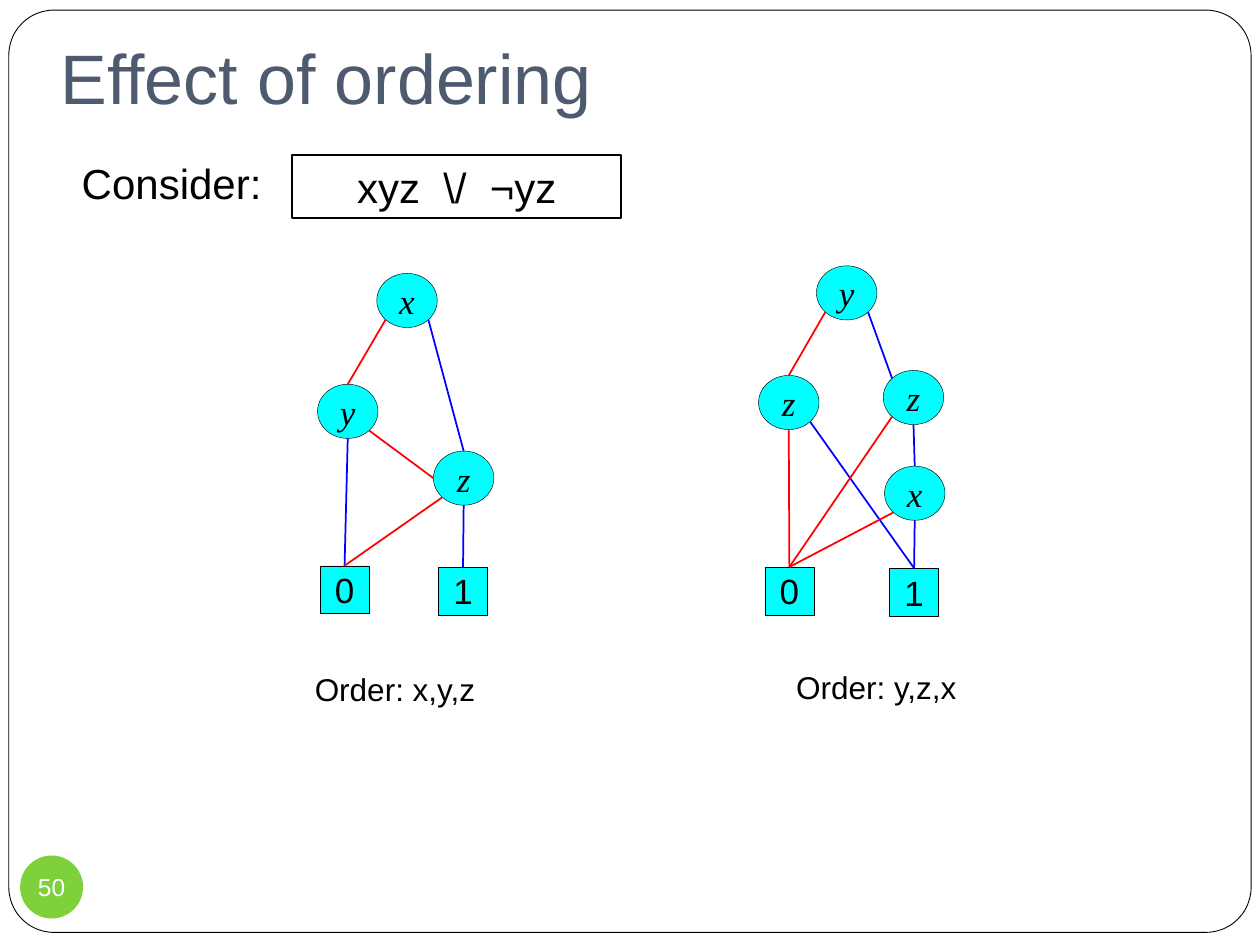
from dataclasses import dataclass
from math import sqrt
from typing import Any

from lxml import etree
from pptx import Presentation
from pptx.dml.color import RGBColor
from pptx.enum.shapes import MSO_CONNECTOR, MSO_SHAPE
from pptx.enum.text import MSO_ANCHOR, MSO_AUTO_SIZE, PP_ALIGN
from pptx.oxml.ns import qn
from pptx.util import Emu, Pt

PX = 9144

BLACK = RGBColor(0, 0, 0)
WHITE = RGBColor(255, 255, 255)
SLATE = RGBColor(0x4E, 0x5B, 0x6F)
CYAN = RGBColor(0, 255, 255)
GREEN = RGBColor(0x7F, 0xD1, 0x3B)
RED = RGBColor(255, 0, 0)
BLUE = RGBColor(0, 0, 255)

ELLIPSE, RECT, ROUNDED = MSO_SHAPE.OVAL, MSO_SHAPE.RECTANGLE, MSO_SHAPE.ROUNDED_RECTANGLE
STRAIGHT = MSO_CONNECTOR.STRAIGHT
LEFT, CENTER = PP_ALIGN.LEFT, PP_ALIGN.CENTER
TOP, MIDDLE, BOTTOM = MSO_ANCHOR.TOP, MSO_ANCHOR.MIDDLE, MSO_ANCHOR.BOTTOM
NO_FIT = MSO_AUTO_SIZE.NONE

NODE_SIZE = (48, 43)
LEAF_SIZE = (39, 38)
DIAGONAL = sqrt(2) / 4
SITES = {
    "top": (0.5, 0),
    "bottom": (0.5, 1),
    "left": (0, 0.5),
    "top left": (0.5 - DIAGONAL, 0.5 - DIAGONAL),
    "bottom left": (0.5 - DIAGONAL, 0.5 + DIAGONAL),
    "bottom right": (0.5 + DIAGONAL, 0.5 + DIAGONAL),
}

XYZ_NODES = {"x": ("x", 299, 217), "z": ("z", 344, 358), "y": ("y", 252, 305)}
XYZ_LEAVES = {"0": (254, 449), "1": (348, 450)}
XYZ_EDGES = [
    ("x", "bottom right", "z", "top", BLUE),
    ("z", "bottom", "1", "top", BLUE),
    ("y", "bottom", "0", "top", BLUE),
    ("x", "bottom left", "y", "top", RED),
    ("z", "bottom left", "0", "top", RED),
    ("y", "bottom right", "z", "left", RED),
]

YZX_NODES = {
    "y": ("y", 648, 211),
    "low z": ("z", 602, 298),
    "high z": ("z", 701, 294),
    "x": ("x", 702, 370),
}
YZX_LEAVES = {"0": (607, 450), "1": (706, 451)}
YZX_EDGES = [
    ("y", "bottom right", "high z", "top left", BLUE),
    ("high z", "bottom", "x", "top", BLUE),
    ("x", "bottom", "1", "top", BLUE),
    ("low z", "bottom right", "1", "top", BLUE),
    ("y", "bottom left", "low z", "top", RED),
    ("low z", "bottom", "0", "top", RED),
    ("x", "bottom left", "0", "top", RED),
    ("high z", "bottom left", "0", "top", RED),
]


def px(length):
    return Emu(round(length * PX))


def write_text(frame, text, size=20, color=BLACK, font="Arial", italic=False,
               align=LEFT, anchor=TOP, wrap=True):
    frame.auto_size = NO_FIT
    frame.word_wrap = wrap
    frame.vertical_anchor = anchor
    paragraph = frame.paragraphs[0]
    paragraph.alignment = align
    run = paragraph.add_run()
    run.text = text
    run.font.size = Pt(size)
    run.font.name = font
    run.font.italic = italic
    run.font.color.rgb = color


def site_point(box, site):
    left, top, width, height = box
    across, down = SITES[site]
    return px(left + across * width), px(top + down * height)


@dataclass
class DiagramSlide:
    slide: Any
    outline: float = 0.25
    edge_width: float = 1

    def title(self, text, box):
        heading = self.slide.shapes.title
        heading.left, heading.top, heading.width, heading.height = map(px, box)
        heading.text_frame.margin_bottom = px(10)
        write_text(heading.text_frame, text, size=40, color=SLATE, anchor=BOTTOM)

    def shape(self, kind, box, fill, line=None, shapes=None):
        target = self.slide.shapes if shapes is None else shapes
        drawn = target.add_shape(kind, *map(px, box))
        drawn.shadow.inherit = False
        drawn.fill.solid()
        drawn.fill.fore_color.rgb = fill
        if line:
            drawn.line.color.rgb = BLACK
            drawn.line.width = Pt(line)
        else:
            drawn.line.fill.background()
        return drawn

    def frame(self, box):
        border = self.shape(ROUNDED, box, WHITE, 0.5)
        border.adjustments[0] = 0.049
        self.slide.shapes._spTree.insert(2, border._element)

    def label(self, text, box, size):
        caption = self.slide.shapes.add_textbox(*map(px, box))
        write_text(caption.text_frame, text, size=size, wrap=False)

    def formula(self, text, box):
        panel = self.shape(RECT, box, WHITE, 1)
        write_text(panel.text_frame, text, size=24, align=CENTER)

    def page_number(self, text, box):
        badge = self.shape(ELLIPSE, box, GREEN)
        frame = badge.text_frame
        frame.margin_left = frame.margin_right = frame.margin_top = frame.margin_bottom = 0
        write_text(frame, text, size=14, color=WHITE, align=CENTER, anchor=MIDDLE, wrap=False)

    def edge(self, shapes, start, end, color):
        line = shapes.add_connector(STRAIGHT, *start, *end)
        line.line.color.rgb = color
        line.line.width = Pt(self.edge_width)
        etree.SubElement(line._element.spPr, qn("a:effectLst"))

    def decision_diagram(self, nodes, leaves, edges):
        shapes = self.slide.shapes.add_group_shape().shapes
        boxes = {}
        for name, (variable, left, top) in nodes.items():
            boxes[name] = (left, top, *NODE_SIZE)
            node = self.shape(ELLIPSE, boxes[name], CYAN, self.outline, shapes)
            write_text(node.text_frame, variable, font="Times New Roman", italic=True,
                       align=CENTER, anchor=MIDDLE)
        for value, position in leaves.items():
            boxes[value] = (*position, *LEAF_SIZE)
            leaf = self.shape(RECT, boxes[value], CYAN, self.outline, shapes)
            write_text(leaf.text_frame, value, align=CENTER, anchor=MIDDLE)
        for parent, leaving, child, entering, color in edges:
            self.edge(shapes, site_point(boxes[parent], leaving),
                      site_point(boxes[child], entering), color)


def main():
    deck = Presentation()
    deck.slide_width, deck.slide_height = px(1000), px(750)
    ordering = DiagramSlide(deck.slides.add_slide(deck.slide_layouts[5]))
    ordering.frame((7, 8, 986, 732))
    ordering.title("Effect of ordering", (38, 30, 912, 74))
    ordering.formula("xyz  \\/  ¬yz", (232, 123, 261, 50))
    ordering.label("Consider:", (55, 120, 162, 50), 24)
    ordering.decision_diagram(XYZ_NODES, XYZ_LEAVES, XYZ_EDGES)
    ordering.decision_diagram(YZX_NODES, YZX_LEAVES, YZX_EDGES)
    ordering.label("Order: x,y,z", (240, 527, 149, 40), 18)
    ordering.label("Order: y,z,x", (622, 525, 149, 40), 18)
    ordering.page_number("50", (16, 679, 50, 50))
    deck.save("out.pptx")


if __name__ == "__main__":
    main()
